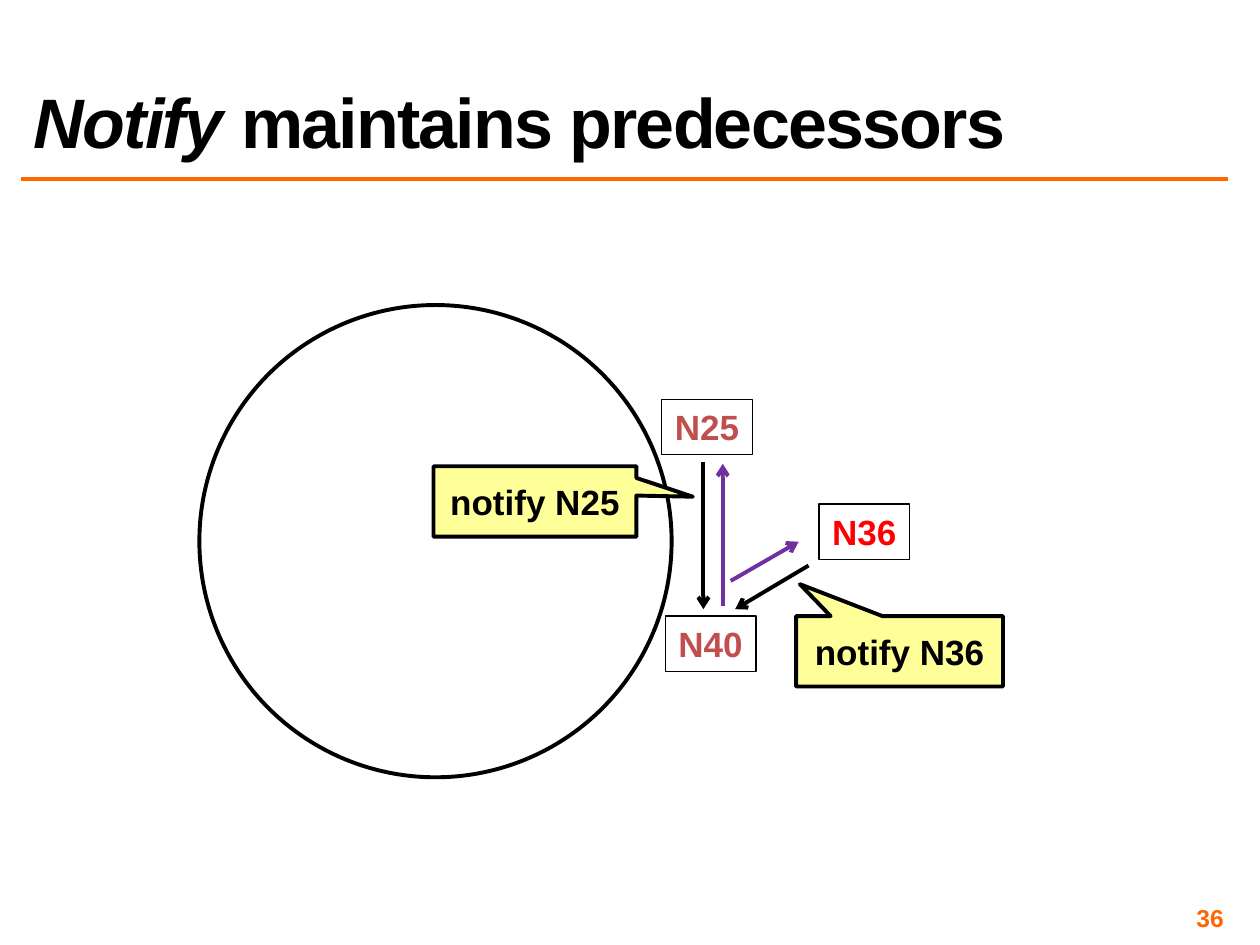
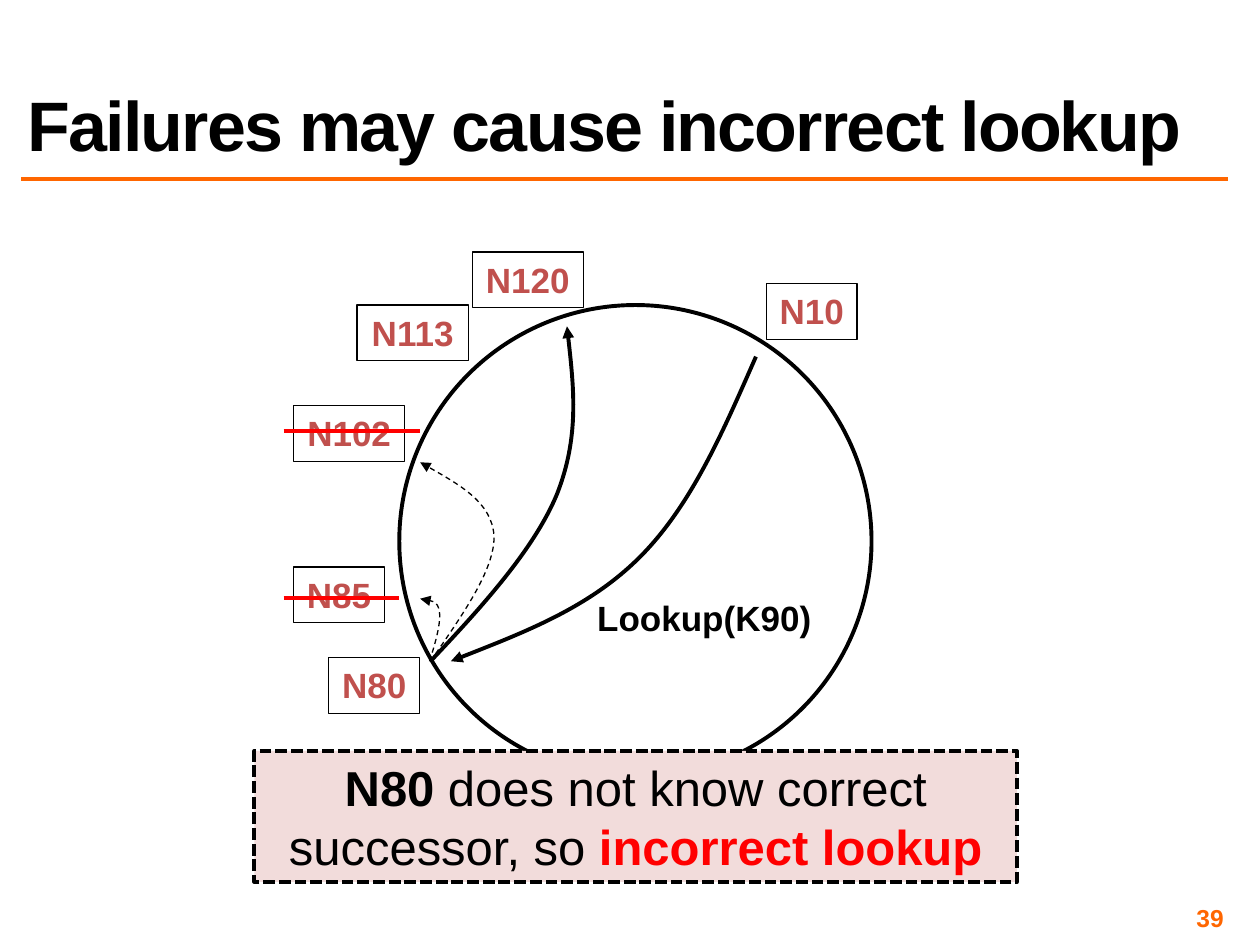
"""Build two slides on ring maintenance and lookup failures in a distributed hash table."""
from pptx import Presentation
from pptx.dml.color import RGBColor
from pptx.enum.dml import MSO_LINE as Dash
from pptx.enum.shapes import MSO_CONNECTOR as Connector, MSO_SHAPE as Shape
from pptx.enum.text import MSO_ANCHOR as Anchor, MSO_AUTO_SIZE as AutoSize, PP_ALIGN as Align
from pptx.oxml.ns import qn
from pptx.oxml.xmlchemy import OxmlElement
from pptx.util import Cm, Pt


class Theme:
    font = "Arial"
    black = RGBColor(0x00, 0x00, 0x00)
    orange = RGBColor(0xFF, 0x66, 0x00)
    brick = RGBColor(0xC0, 0x50, 0x4D)
    red = RGBColor(0xFF, 0x00, 0x00)
    purple = RGBColor(0x70, 0x30, 0xA0)
    yellow = RGBColor(0xFF, 0xFF, 0x99)
    pink = RGBColor(0xF2, 0xDC, 0xDB)
    title_size, message_size, label_size, number_size = Pt(40), Pt(28), Pt(20), Pt(14)
    thin, rule, thick = Pt(0.75), Pt(2), Pt(2.25)


def style_line(shape, color=Theme.black, width=Theme.thick, dash=None, head=None):
    """Format an outline, remove the shadow and add an optional arrowhead."""
    shape.line.color.rgb = color
    shape.line.width = width
    if dash:
        shape.line.dash_style = dash
    properties = shape.element.spPr
    if head:
        arrowhead = OxmlElement("a:tailEnd")
        arrowhead.set("type", head)
        properties.find(qn("a:ln")).append(arrowhead)
    properties.append(OxmlElement("a:effectLst"))


def write_text(shape, runs, size, align=Align.CENTER, color=Theme.black, **frame_format):
    """Write one paragraph of (text, font overrides) runs."""
    frame = shape.text_frame
    for name, value in frame_format.items():
        setattr(frame, name, value)
    paragraph = frame.paragraphs[0]
    paragraph.alignment = align
    for text, overrides in runs:
        run = paragraph.add_run()
        run.text = text
        font_format = {"name": Theme.font, "size": size, "bold": True, "color": color} | overrides
        run.font.color.rgb = font_format.pop("color")
        for name, value in font_format.items():
            setattr(run.font, name, value)
    return paragraph


presentation = Presentation()
presentation.slide_width, presentation.slide_height = Cm(25.4), Cm(19.05)

pages = [
    {
        "number": "36",
        "title": [("Notify", {"italic": True}), (" maintains predecessors", {"italic": False})],
        "title_bounds": (0.43, 0.43, 24.33, 2.97),
        "ring_left": 4.02,
        "nodes": [("N36", 16.51, 10.16, Theme.red), ("N40", 13.41, 12.42, Theme.brick),
                  ("N25", 13.34, 8.05, Theme.brick)],
        "lines": [((14.18, 9.31, 14.18, 12.28), Theme.black, "arrow"),
                  ((16.3, 11.4, 14.82, 12.28), Theme.black, "arrow"),
                  ((14.57, 12.22, 14.57, 9.35), Theme.purple, "arrow"),
                  ((14.73, 11.71, 16.1, 10.92), Theme.purple, "arrow")],
    },
    {
        "number": "39",
        "title": [("Failures may cause incorrect lookup", {})],
        "title_bounds": (0.3, 0.28, 24.43, 3.18),
        "ring_left": 8.05,
        "nodes": [("N120", 9.52, 5.08, Theme.brick), ("N113", 7.2, 6.15, Theme.brick),
                  ("N102", 5.92, 8.18, Theme.brick), ("N80", 6.63, 13.26, Theme.brick),
                  ("N85", 5.92, 11.43, Theme.brick), ("N10", 15.45, 5.72, Theme.brick)],
        "lines": [((5.72, 12.06, 8.05, 12.06), Theme.red, None),
                  ((5.72, 8.69, 8.47, 8.69), Theme.red, None)],
    },
]

slides = []
for page in pages:
    slide = presentation.slides.add_slide(presentation.slide_layouts[5])
    slides.append(slide)

    title = slide.shapes.title
    for name, value in zip(("left", "top", "width", "height"), page["title_bounds"]):
        setattr(title, name, Cm(value))
    paragraph = write_text(title, page["title"], Theme.title_size, Align.LEFT,
                           vertical_anchor=Anchor.BOTTOM, auto_size=AutoSize.NONE, word_wrap=True)
    paragraph.line_spacing = 0.8
    for run in paragraph.runs:
        run.font._element.set("spc", "-100")

    rule = slide.shapes.add_connector(Connector.STRAIGHT, Cm(0.43), Cm(3.61), Cm(24.76), Cm(3.61))
    style_line(rule, Theme.orange, Theme.rule)

    number = slide.shapes.add_textbox(Cm(18.85), Cm(18.21), Cm(5.92), Cm(0.58))
    margins = {f"margin_{side}": Cm(0.1) for side in ("left", "top", "right", "bottom")}
    write_text(number, [(page["number"], {})], Theme.number_size, Align.RIGHT, Theme.orange,
               vertical_anchor=Anchor.MIDDLE, word_wrap=True, **margins)

    ring = slide.shapes.add_shape(Shape.OVAL, Cm(page["ring_left"]), Cm(6.15), Cm(9.52), Cm(9.52))
    ring.fill.background()
    style_line(ring)

    for name, left, top, color in page["nodes"]:
        width = 0.6 + 0.41 * len(name)
        node = slide.shapes.add_shape(Shape.RECTANGLE, Cm(left), Cm(top), Cm(width), Cm(1.12))
        node.fill.background()
        style_line(node, width=Theme.thin)
        write_text(node, [(name, {})], Theme.label_size, color=color, word_wrap=False,
                   auto_size=AutoSize.SHAPE_TO_FIT_TEXT, vertical_anchor=Anchor.TOP)

    for ends, color, head in page["lines"]:
        line = slide.shapes.add_connector(Connector.STRAIGHT, *map(Cm, ends))
        style_line(line, color, head=head)

notify_slide, failure_slide = slides

callouts = [
    ("notify N36", (16.05, 12.42, 4.17, 1.42), (-0.482, -0.953)),
    ("notify N25", (8.74, 9.4, 4.09, 1.42), (0.778, -0.067)),
]
for text, bounds, pointer in callouts:
    callout = notify_slide.shapes.add_shape(Shape.RECTANGULAR_CALLOUT, *map(Cm, bounds))
    callout.adjustments[0], callout.adjustments[1] = pointer
    callout.fill.solid()
    callout.fill.fore_color.rgb = Theme.yellow
    style_line(callout)
    write_text(callout, [(text, {})], Theme.label_size, vertical_anchor=Anchor.MIDDLE, word_wrap=True)

dashed = {"width": Theme.thin, "dash": Dash.DASH}
lookup_curves = [
    ([(8.66, 13.33), (8.79, 12.93), (8.89, 12.55), (8.86, 12.32),
      (8.81, 12.12), (8.64, 12.09), (8.47, 12.07)], dashed),
    ([(8.68, 13.33), (9.32, 12.4), (9.98, 11.48), (9.96, 10.8),
      (9.91, 10.13), (9.19, 9.73), (8.47, 9.32)], dashed),
    ([(8.68, 13.33), (9.73, 12.22), (10.77, 11.07), (11.23, 9.96),
      (11.68, 8.81), (11.56, 7.7), (11.43, 6.58)], {}),
    ([(15.24, 7.19), (14.58, 8.69), (13.94, 10.19), (12.9, 11.23),
      (11.89, 12.24), (10.49, 12.78), (9.09, 13.33)], {}),
]
for points, line_format in lookup_curves:
    start, *controls = [(Cm(x), Cm(y)) for x, y in points]
    builder = failure_slide.shapes.build_freeform(*start)
    builder.add_line_segments(controls, close=False)
    curve = builder.convert_to_shape()
    segments = curve.element.xpath(".//a:lnTo")
    for first in range(0, len(segments), 3):
        bezier = OxmlElement("a:cubicBezTo")
        segments[first].addprevious(bezier)
        for segment in segments[first:first + 3]:
            bezier.append(segment[0])
            segment.getparent().remove(segment)
    curve.fill.background()
    style_line(curve, head="triangle", **line_format)

message = failure_slide.shapes.add_shape(Shape.RECTANGLE, Cm(5.13), Cm(15.14), Cm(15.37), Cm(2.64))
message.fill.solid()
message.fill.fore_color.rgb = Theme.pink
style_line(message, dash=Dash.SQUARE_DOT)
message_runs = [("N80", {}), (" does not know correct successor, so ", {"bold": False}),
                ("incorrect lookup", {"color": Theme.red})]
write_text(message, message_runs, Theme.message_size, word_wrap=True,
           auto_size=AutoSize.SHAPE_TO_FIT_TEXT, vertical_anchor=Anchor.TOP)

lookup = failure_slide.shapes.add_textbox(Cm(11.76), Cm(11.91), Cm(4.88), Cm(1.12))
write_text(lookup, [("Lookup(K90)", {})], Theme.label_size, word_wrap=False,
           auto_size=AutoSize.SHAPE_TO_FIT_TEXT)

presentation.save("out.pptx")
